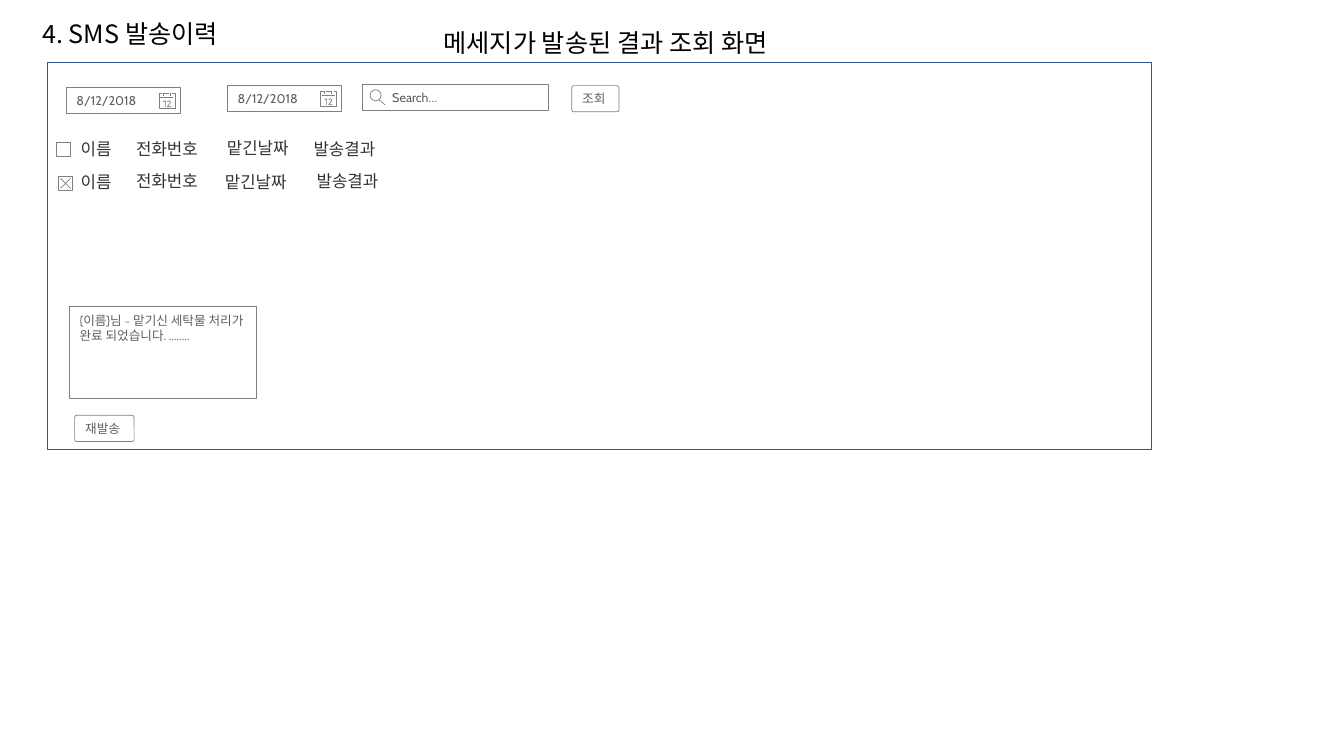
from pptx import Presentation
from pptx.dml.color import RGBColor
from pptx.enum.shapes import MSO_CONNECTOR, MSO_SHAPE
from pptx.enum.text import MSO_ANCHOR, PP_ALIGN
from pptx.oxml.ns import qn
from pptx.util import Inches, Pt
from lxml import etree

RECT, ROUNDED, OVAL = MSO_SHAPE.RECTANGLE, MSO_SHAPE.ROUNDED_RECTANGLE, MSO_SHAPE.OVAL
STRAIGHT = MSO_CONNECTOR.STRAIGHT
TOP, MIDDLE, LEFT = MSO_ANCHOR.TOP, MSO_ANCHOR.MIDDLE, PP_ALIGN.LEFT
GRAY = RGBColor.from_string("808080")

prs = Presentation()
prs.slide_width, prs.slide_height = Inches(13.33), Inches(7.5)
slide = prs.slides.add_slide(prs.slide_layouts[6])
shapes = slide.shapes


def write(shape, text, size, font, color, insets=(0.1, 0.05, 0.1, 0.05), anchor=TOP, wrap=True):
    frame = shape.text_frame
    frame.word_wrap, frame.vertical_anchor = wrap, anchor
    frame.margin_left, frame.margin_top, frame.margin_right, frame.margin_bottom = map(Inches, insets)
    paragraph = frame.paragraphs[0]
    paragraph.text, paragraph.alignment = text, LEFT
    paragraph.font.size, paragraph.font.name = Pt(size), font
    paragraph.font.color.rgb = RGBColor.from_string(color)


def add_box(kind, left, top, width, height, fill="FFFFFF", line="808080", weight=0.5):
    box = shapes.add_shape(kind, Inches(left), Inches(top), Inches(width), Inches(height))
    box.shadow.inherit = False
    if fill:
        box.fill.solid()
        box.fill.fore_color.rgb = RGBColor.from_string(fill)
    else:
        box.fill.background()
    box.line.color.rgb = RGBColor.from_string(line)
    box.line.width = Pt(weight)
    return box


add_box(RECT, 0.47, 0.62, 10.95, 3.84, None, "325491", 1)

for text, left, top, width in [
    ("4. SMS 발송이력", 0.32, 0.13, 2.99),
    ("메세지가 발송된 결과 조회 화면", 4.3, 0.22, 4.5),
]:
    heading = shapes.add_textbox(Inches(left), Inches(top), Inches(width), Inches(0.4))
    write(heading, text, 18, "Noto Sans CJK KR", "000000")

columns = [("이름", 0.42), ("전화번호", 0.76), ("맡긴날짜", 0.71), ("발송결과", 0.71)]
history_rows = [
    [(0.8, 1.38), (1.35, 1.38), (2.25, 1.37), (3.11, 1.38)],
    [(0.8, 1.7), (1.35, 1.69), (2.23, 1.7), (3.14, 1.69)],
]
for row in history_rows:
    for (text, width), (left, top) in zip(columns, row):
        cell = shapes.add_textbox(Inches(left), Inches(top), Inches(width), Inches(0.2))
        write(cell, text, 12, "Cabin", "333333", (0, 0, 0, 0))

for left, top in [(0.56, 1.41), (0.58, 1.75)]:
    add_box(RECT, left, top, 0.14, 0.14)

for text, left, top, width in [("재발송", 0.74, 4.12, 0.59), ("조회", 5.67, 0.85, 0.47)]:
    button = add_box(ROUNDED, left, top, width, 0.26)
    button.adjustments[0] = 0.088
    write(button, text, 9, "Cabin", "5F5F5F", anchor=MIDDLE, wrap=False)

message = add_box(RECT, 0.69, 3.04, 1.85, 0.91)
write(message, "{이름}님 ~ 맡기신 세탁물 처리가 완료 되었습니다. ........", 9, "Cabin", "5F5F5F",
      (0.1, 0.06, 0.1, 0.06))

calendar_strokes = [
    [(0.04, 0), (0.04, 0.03)],
    [(0.11, 0), (0.11, 0.03)],
    [(0.03, 0.01), (0, 0.01), (0, 0.16), (0.16, 0.16), (0.16, 0.01), (0.13, 0.01)],
    [(0.05, 0.01), (0.1, 0.01)],
    [(0.01, 0.05), (0.14, 0.05)],
    [(0.04, 0.09), (0.06, 0.08), (0.06, 0.14)],
    [(0.08, 0.09), (0.1, 0.08), (0.11, 0.09), (0.11, 0.1), (0.08, 0.14), (0.12, 0.14)],
]
for left, top in [(0.66, 0.87), (2.26, 0.85)]:
    date_field = add_box(RECT, left, top, 1.13, 0.26)
    write(date_field, "8/12/2018", 9, "Cabin", "5F5F5F", (0.1, 0.06, 0.25, 0.06), MIDDLE)
    outline = None
    for stroke in calendar_strokes:
        points = [(Inches(left + 0.92 + x), Inches(top + 0.05 + y)) for x, y in stroke]
        if outline is None:
            outline = shapes.build_freeform(*points[0])
        else:
            outline.move_to(*points[0])
        outline.add_line_segments(points[1:], close=False)
    calendar = outline.convert_to_shape()
    calendar.shadow.inherit = False
    calendar.fill.background()
    calendar.line.color.rgb = GRAY
    calendar.line.width = Pt(0.5)

search_field = add_box(RECT, 3.59, 0.84, 1.85, 0.26)
write(search_field, "Search…", 9, "Cabin", "5F5F5F", (0.3, 0.06, 0.1, 0.06), MIDDLE)
add_box(OVAL, 3.67, 0.89, 0.11, 0.11)

check_strokes = [(0.6, 1.77, 0.7, 1.87), (0.7, 1.77, 0.6, 1.87)]
search_handle = (3.76, 0.99, 3.82, 1.04)
for ends in check_strokes + [search_handle]:
    stroke = shapes.add_connector(STRAIGHT, *map(Inches, ends))
    stroke.line.color.rgb = GRAY
    stroke.line.width = Pt(0.5)
    etree.SubElement(stroke._element.spPr, qn("a:effectLst"))

prs.save("out.pptx")
